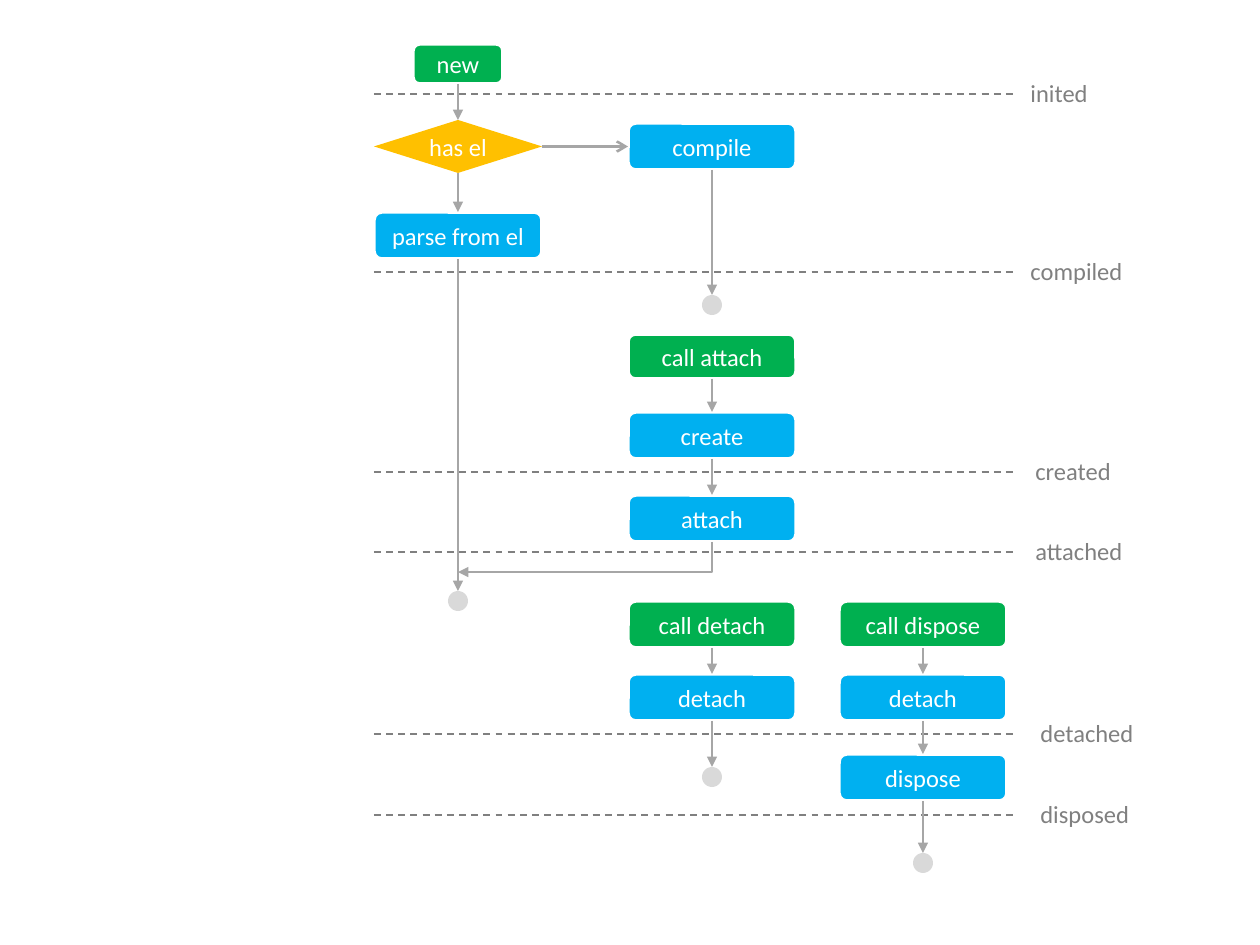
import lxml.etree
import pptx
import pptx.dml.color
import pptx.enum.dml
import pptx.enum.shapes
import pptx.enum.text
import pptx.oxml.ns
import pptx.util

PX = 914400 / 126  # EMU in one px
FONT = "Calibri"
COLORS = {
    "call": "00B050",
    "step": "00B0F0",
    "decision": "FFC000",
    "arrow": "A6A6A6",
    "end": "D9D9D9",
    "stage": "808080",
    "white": "FFFFFF",
}
SHAPES = pptx.enum.shapes.MSO_SHAPE
CONNECTORS = pptx.enum.shapes.MSO_CONNECTOR
TOP, LEFT, BOTTOM, RIGHT = range(4)

# Centres of the three flow columns
MAIN, MIDDLE, LAST = 458, 712, 923
BOX_WIDTH, BOX_HEIGHT = 168, 47
END_SIZE = 20
STAGE_LEFT, STAGE_RIGHT = 374, 1018

# Name, line y, label left, label width
STAGES = [
    ("inited", 94, 1018, 83),
    ("compiled", 272, 1018, 118),
    ("created", 472, 1023, 102),
    ("attached", 552, 1023, 113),
    ("detached", 734, 1028, 120),
    ("disposed", 815, 1028, 115),
]


def px(*lengths):
    return [pptx.util.Emu(round(length * PX)) for length in lengths]


def color(name):
    return pptx.dml.color.RGBColor.from_string(COLORS[name])


def write(frame, text, color_name):
    para = frame.paragraphs[0]
    para.text = text
    para.font.name = FONT
    para.font.size = pptx.util.Pt(14)
    para.font.color.rgb = color(color_name)
    return para


def add_node(page, kind, center, top, width, height, fill):
    """Add a borderless shape centred on a column."""
    node = page.shapes.add_shape(kind, *px(center - width / 2, top, width, height))
    node.shadow.inherit = False
    node.fill.solid()
    node.fill.fore_color.rgb = color(fill)
    node.line.fill.background()
    return node


def add_caption(node, text):
    frame = node.text_frame
    frame.margin_left = frame.margin_right = 0
    frame.vertical_anchor = pptx.enum.text.MSO_ANCHOR.MIDDLE
    write(frame, text, "white").alignment = pptx.enum.text.PP_ALIGN.CENTER


def add_box(page, text, center, top, fill="step", width=BOX_WIDTH, height=BOX_HEIGHT):
    box = add_node(page, SHAPES.ROUNDED_RECTANGLE, center, top, width, height, fill)
    box.line.color.rgb = color("white")
    box.line.width = pptx.util.Pt(2)
    add_caption(box, text)
    return box


def add_decision(page, text, center, top):
    diamond = add_node(page, SHAPES.DIAMOND, center, top, BOX_WIDTH, 53, "decision")
    add_caption(diamond, text)
    return diamond


def add_end(page, center, top):
    return add_node(page, SHAPES.FLOWCHART_CONNECTOR, center, top,
                    END_SIZE, END_SIZE, "end")


def add_line(page, kind, ends, color_name, width):
    line = page.shapes.add_connector(kind, *px(*ends))
    line.line.color.rgb = color(color_name)
    line.line.width = pptx.util.Pt(width)
    lxml.etree.SubElement(line._element.spPr, pptx.oxml.ns.qn("a:effectLst"))
    return line


def add_arrow(page, kind=CONNECTORS.STRAIGHT, ends=(0, 0, 0, 0), head="triangle"):
    arrow = add_line(page, kind, ends, "arrow", 1.5)
    outline = arrow.line._get_or_add_ln()
    lxml.etree.SubElement(outline, pptx.oxml.ns.qn("a:tailEnd"), type=head)
    return arrow


def join(page, start, finish, start_side=BOTTOM, finish_side=TOP, head="triangle"):
    arrow = add_arrow(page, head=head)
    arrow.begin_connect(start, start_side)
    arrow.end_connect(finish, finish_side)


def add_chain(page, *nodes):
    for start, finish in zip(nodes, nodes[1:]):
        join(page, start, finish)


def add_corner_arrow(page, start_x, start_y, end_x, end_y):
    """Go down, then left: a one-bend connector turned by 90 degrees."""
    run, drop = start_x - end_x, end_y - start_y
    left = (start_x + end_x - drop) / 2
    top = (start_y + end_y - run) / 2
    arrow = add_arrow(page, CONNECTORS.ELBOW, (left, top, left + drop, top + run))
    properties = arrow._element.spPr
    properties.find(pptx.oxml.ns.qn("a:prstGeom")).set("prst", "bentConnector2")
    properties.find(pptx.oxml.ns.qn("a:xfrm")).set("rot", "5400000")


def add_stage(page, name, y, label_left, label_width):
    line = add_line(page, CONNECTORS.STRAIGHT,
                    (STAGE_LEFT, y, STAGE_RIGHT, y), "stage", 1)
    line.line.dash_style = pptx.enum.dml.MSO_LINE.DASH
    label = page.shapes.add_textbox(*px(label_left, y - 22, label_width, 43))
    label.text_frame.word_wrap = False
    label.text_frame.auto_size = pptx.enum.text.MSO_AUTO_SIZE.SHAPE_TO_FIT_TEXT
    write(label.text_frame, name, "stage")


def main():
    deck = pptx.Presentation()
    deck.slide_width, deck.slide_height = px(1260, 945)
    page = deck.slides.add_slide(deck.slide_layouts[6])

    # Lifecycle stages
    for stage in STAGES:
        add_stage(page, *stage)

    # Creation: parse from the element or compile
    has_el = add_decision(page, "has el", MAIN, 120)
    add_chain(page,
              add_box(page, "new", MAIN, 44, "call", 90, 40),
              has_el,
              add_box(page, "parse from el", MAIN, 212),
              add_end(page, MAIN, 591))
    compile_box = add_box(page, "compile", MIDDLE, 123)
    join(page, has_el, compile_box, RIGHT, LEFT, "arrow")
    add_chain(page, compile_box, add_end(page, MIDDLE, 295))

    # Attaching, which leads back to the main column
    add_chain(page,
              add_box(page, "call attach", MIDDLE, 334, "call", height=45),
              add_box(page, "create", MIDDLE, 412),
              add_box(page, "attach", MIDDLE, 495))
    add_corner_arrow(page, MIDDLE, 495 + BOX_HEIGHT, MAIN, 572)

    # Detaching
    add_chain(page,
              add_box(page, "call detach", MIDDLE, 601, "call"),
              add_box(page, "detach", MIDDLE, 674),
              add_end(page, MIDDLE, 767))

    # Disposing
    add_chain(page,
              add_box(page, "call dispose", LAST, 601, "call"),
              add_box(page, "detach", LAST, 674),
              add_box(page, "dispose", LAST, 754),
              add_end(page, LAST, 853))

    deck.save("out.pptx")


if __name__ == "__main__":
    main()
